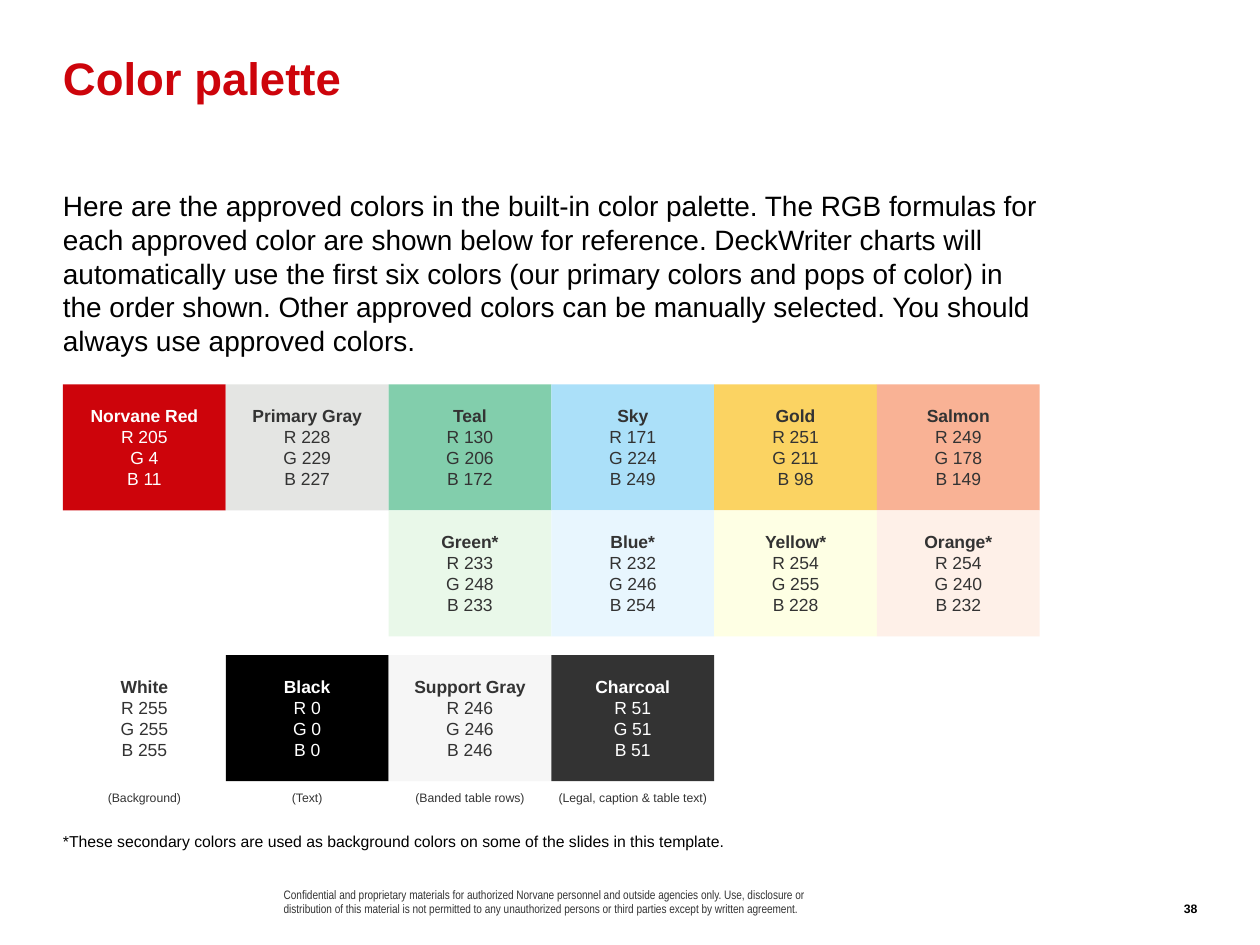
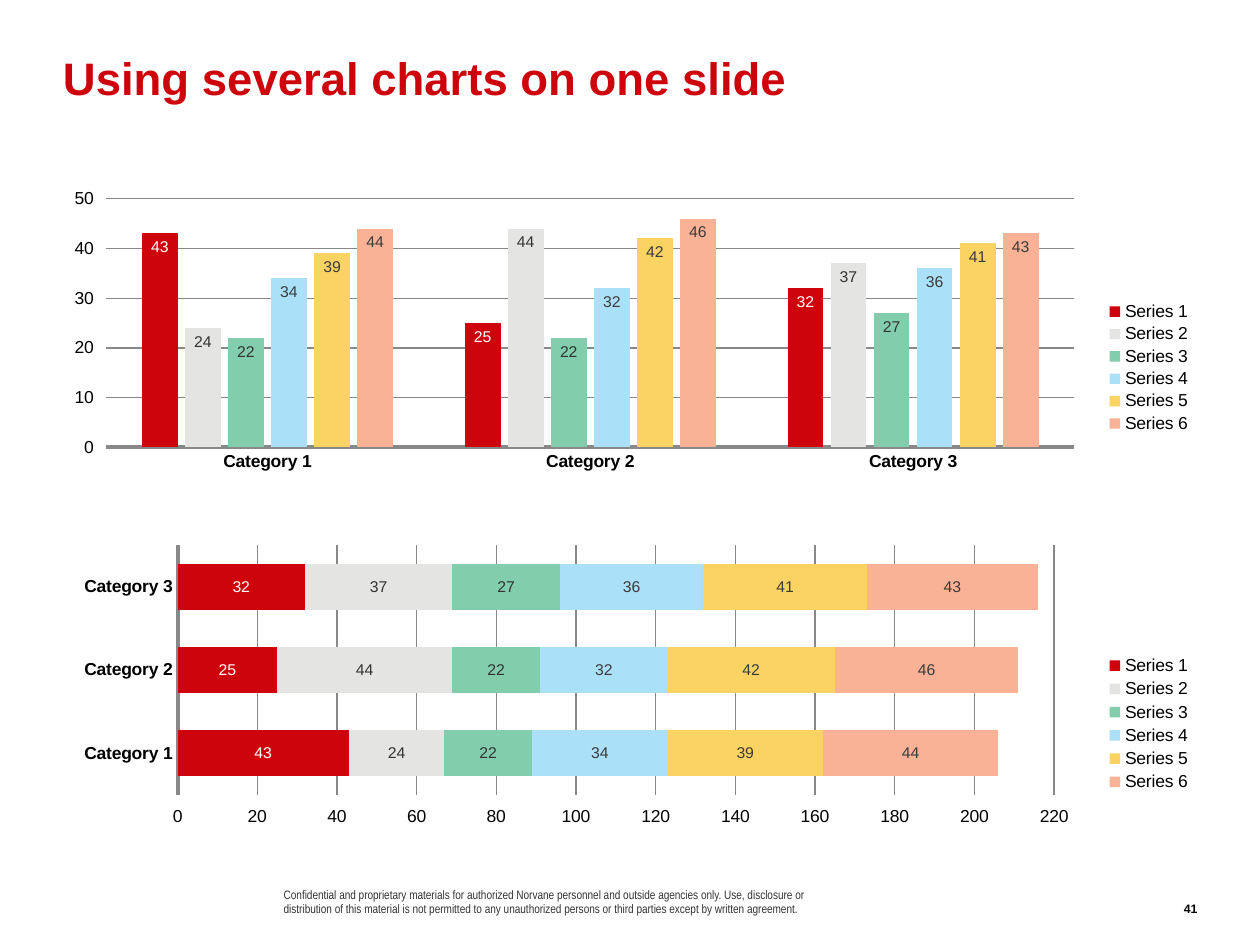
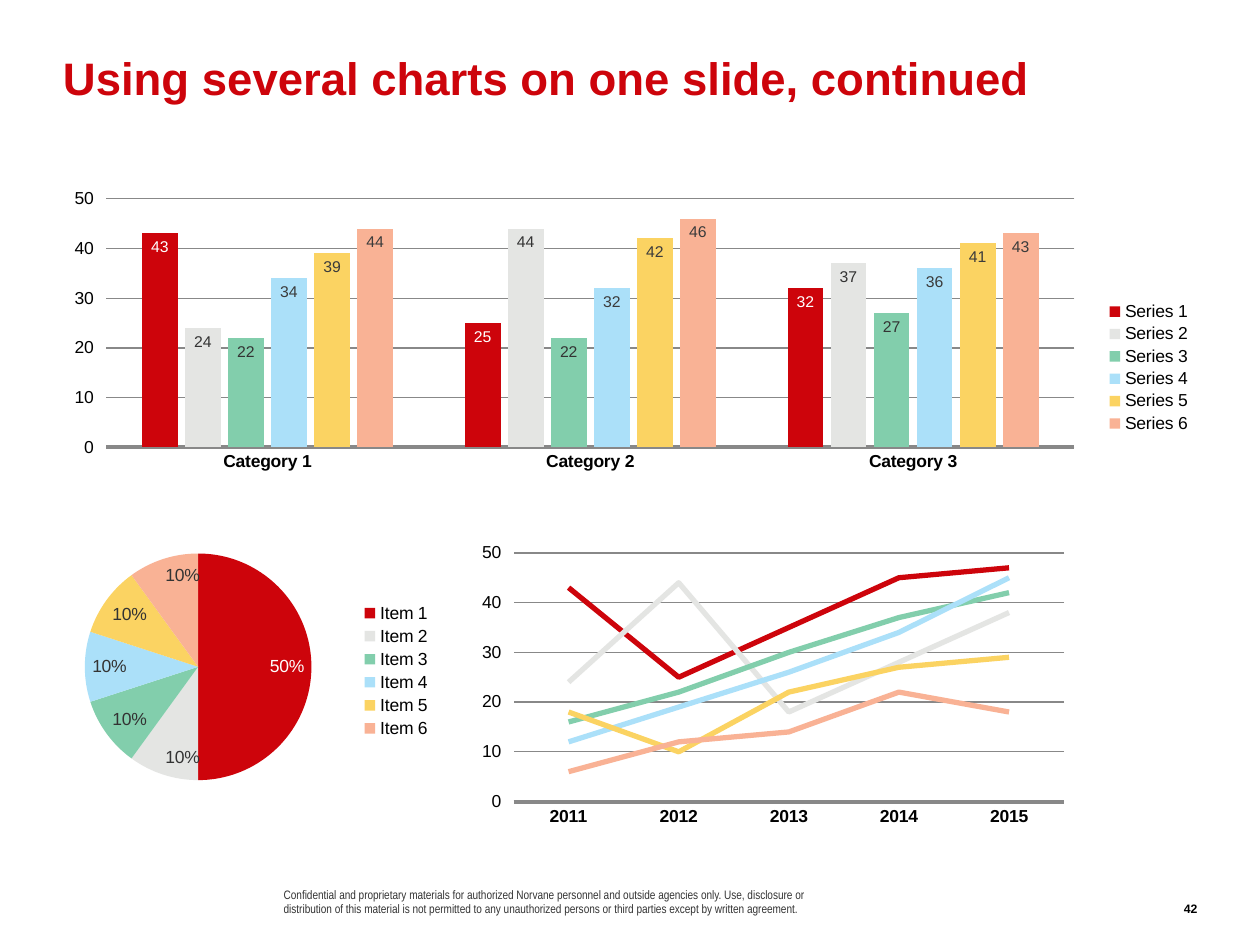
from lxml import etree
from pptx import Presentation
from pptx.chart.data import CategoryChartData
from pptx.dml.color import RGBColor
from pptx.enum.chart import XL_CHART_TYPE, XL_LABEL_POSITION, XL_LEGEND_POSITION, XL_TICK_MARK
from pptx.enum.shapes import MSO_SHAPE
from pptx.enum.text import MSO_ANCHOR, PP_ALIGN
from pptx.oxml.ns import qn
from pptx.util import Cm, Pt

COLUMNS, STACKED_BARS = XL_CHART_TYPE.COLUMN_CLUSTERED, XL_CHART_TYPE.BAR_STACKED
LINES, PIE = XL_CHART_TYPE.LINE, XL_CHART_TYPE.PIE
INSIDE_END, CENTERED = XL_LABEL_POSITION.INSIDE_END, XL_LABEL_POSITION.CENTER
LEGEND_RIGHT = XL_LEGEND_POSITION.RIGHT
NO_TICK, TICK_OUT = XL_TICK_MARK.NONE, XL_TICK_MARK.OUTSIDE
RECT = MSO_SHAPE.RECTANGLE
TOP, MIDDLE, BOTTOM = MSO_ANCHOR.TOP, MSO_ANCHOR.MIDDLE, MSO_ANCHOR.BOTTOM
LEFT, CENTER, RIGHT = PP_ALIGN.LEFT, PP_ALIGN.CENTER, PP_ALIGN.RIGHT

# Shared look
FONT, NARROW_FONT = "Arial", "Arial Narrow"
RED, BLACK, WHITE, CHARCOAL, AXIS_GRAY = "CD040B", "000000", "FFFFFF", "333333", "888888"
CHART_COLORS = [RED, "E4E5E3", "82CEAC", "ABE0F9", "FBD362", "F9B295"]
LABEL_COLORS = [WHITE, CHARCOAL, CHARCOAL, "3B3B3B", "3B3B3B", "3B3B3B"]
MARGIN, CONTENT_TOP, TEXT_W = 1.27, 3.81, 19.69
UPPER_BOX = (MARGIN, CONTENT_TOP, 22.86, 5.72)
LOWER_TOP = 10.95
CONFIDENTIAL = ("Confidential and proprietary materials for authorized Norvane personnel and outside "
                "agencies only. Use, disclosure or distribution of this material is not permitted to "
                "any unauthorized persons or third parties except by written agreement.")

# Palette rows: (name, colour) from the given first column
SWATCH_W, SWATCH_H = TEXT_W / 6, 2.54
PRIMARY = list(zip(["Norvane Red", "Primary Gray", "Teal", "Sky", "Gold", "Salmon"], CHART_COLORS))
SECONDARY = [("Green*", "E9F8E9"), ("Blue*", "E8F6FE"), ("Yellow*", "FEFFE4"), ("Orange*", "FEF0E8")]
NEUTRAL = [("White", WHITE), ("Black", BLACK), ("Support Gray", "F6F6F6"), ("Charcoal", CHARCOAL)]
USES = ["(Background)", "(Text)", "(Banded table rows)", "(Legal, caption & table text)"]

CATEGORIES = ["Category 1", "Category 2", "Category 3"]
CATEGORY_SERIES = [(43, 25, 32), (24, 44, 37), (22, 22, 27), (34, 32, 36), (39, 42, 41), (44, 46, 43)]
YEARS = ["2011", "2012", "2013", "2014", "2015"]
YEAR_SERIES = [(43, 25, 35, 45, 47), (24, 44, 18, 28, 38), (16, 22, 30, 37, 42),
               (12, 19, 26, 34, 45), (18, 10, 22, 27, 29), (6, 12, 14, 22, 18)]
ITEMS = [f"Item {n}" for n in range(1, 7)]
SHARES = (0.5, 0.1, 0.1, 0.1, 0.1, 0.1)


def rgb(color):
    return RGBColor.from_string(color)


def cm_box(box):
    return [Cm(length) for length in box]


def style_font(font, size, color=BLACK, bold=False, name=FONT):
    font.size, font.bold, font.name = Pt(size), bold, name
    font.color.rgb = rgb(color)


def write(shape, *lines, size, color=BLACK, bold=False, bold_first=False, font=FONT,
          align=LEFT, anchor=TOP, right_inset=0, spacing=None):
    frame = shape.text_frame
    frame.word_wrap, frame.vertical_anchor = True, anchor
    frame.margin_left = frame.margin_top = frame.margin_bottom = 0
    frame.margin_right = Cm(right_inset)
    for i, line in enumerate(lines):
        paragraph = frame.paragraphs[0] if i == 0 else frame.add_paragraph()
        paragraph.alignment, paragraph.line_spacing = align, spacing
        run = paragraph.add_run()
        run.text = line
        style_font(run.font, size, color, bold or (bold_first and i == 0), font)


def add_text(slide, box, *lines, **look):
    write(slide.shapes.add_textbox(*cm_box(box)), *lines, **look)


def new_slide(prs, title, number):
    """Blank slide with title, legal notice and page number."""
    slide = prs.slides.add_slide(prs.slide_layouts[6])
    add_text(slide, (5.72, 17.83, 11.23, 0.64), CONFIDENTIAL, size=7, color=CHARCOAL,
             font=NARROW_FONT, anchor=BOTTOM, right_inset=0.51)
    add_text(slide, (MARGIN, 1.14, TEXT_W, 1.27), title, size=26, color=RED, bold=True, spacing=0.9)
    add_text(slide, (23.5, 17.83, 0.64, 0.64), str(number), size=7, bold=True,
             align=RIGHT, anchor=BOTTOM)
    return slide


def add_swatch_row(slide, left, top, swatches):
    for column, (name, color) in enumerate(swatches):
        box = (left + column * SWATCH_W, top, SWATCH_W, SWATCH_H)
        swatch = slide.shapes.add_shape(RECT, *cm_box(box))
        swatch.shadow.inherit = False
        swatch.fill.solid()
        swatch.fill.fore_color.rgb = rgb(color)
        swatch.line.fill.background()
        formula = [f"{channel} {value}" for channel, value in zip("RGB", rgb(color))]
        write(swatch, name, *formula, size=10, bold_first=True, align=CENTER, anchor=MIDDLE,
              color=WHITE if color in (RED, BLACK, CHARCOAL) else CHARCOAL)


def add_palette(slide, left, top):
    add_swatch_row(slide, left, top, PRIMARY)
    add_swatch_row(slide, left + 2 * SWATCH_W, top + SWATCH_H, SECONDARY)
    neutral_top = top + 2 * SWATCH_H + 0.38
    add_swatch_row(slide, left, neutral_top, NEUTRAL)
    for column, use in enumerate(USES):
        add_text(slide, (left + column * SWATCH_W, neutral_top + SWATCH_H, SWATCH_W, 0.64), use,
                 size=7, color=CHARCOAL, align=CENTER, anchor=MIDDLE)


def set_layout(parent, index, area, inner=False):
    """Fix a chart part at (x, y, w, h), as fractions of the chart."""
    for old in parent.findall(qn("c:layout")):
        parent.remove(old)
    layout = etree.Element(qn("c:layout"))
    manual = etree.SubElement(layout, qn("c:manualLayout"))
    settings = [("layoutTarget", "inner")] if inner else []
    settings += [("xMode", "edge"), ("yMode", "edge")]
    settings += list(zip("xywh", area))
    for tag, value in settings:
        etree.SubElement(manual, qn(f"c:{tag}")).set("val", str(value))
    parent.insert(index, layout)


def add_chart(slide, box, kind, categories, series, plot_area, legend_area=None, fmt="General"):
    data = CategoryChartData(number_format=fmt)
    data.categories = categories
    for n, values in enumerate(series, 1):
        data.add_series(f"Series {n}", values)
    chart = slide.shapes.add_chart(kind, *cm_box(box), data).chart
    style_font(chart.font, 10)
    chart.has_title = False
    chart.has_legend = legend_area is not None
    set_layout(chart.element.xpath("c:chart/c:plotArea")[0], 0, plot_area, inner=True)
    if legend_area:
        chart.legend.position = LEGEND_RIGHT
        chart.legend.include_in_layout = False
        style_font(chart.legend.font, 10)
        set_layout(chart.element.xpath("c:chart/c:legend")[0], 1, legend_area)
    return chart


def style_axes(chart, maximum, step):
    names, values = chart.category_axis, chart.value_axis
    names.major_tick_mark = NO_TICK
    names.format.line.color.rgb = rgb(AXIS_GRAY)
    names.format.line.width = Pt(2.25)
    style_font(names.tick_labels.font, 10, bold=True)
    values.minimum_scale, values.maximum_scale, values.major_unit = 0, maximum, step
    values.major_tick_mark = TICK_OUT
    values.format.line.fill.background()
    style_font(values.tick_labels.font, 10)
    values.has_major_gridlines = True
    values.major_gridlines.format.line.color.rgb = rgb(AXIS_GRAY)
    values.major_gridlines.format.line.width = Pt(0.75)


def style_bars(chart, gap, overlap, label_position):
    plot = chart.plots[0]
    plot.gap_width, plot.overlap, plot.vary_by_categories = gap, overlap, False
    for bars, color, label_color in zip(plot.series, CHART_COLORS, LABEL_COLORS):
        bars.format.fill.solid()
        bars.format.fill.fore_color.rgb = rgb(color)
        labels = bars.data_labels
        labels.show_value, labels.position = True, label_position
        style_font(labels.font, 9, label_color)


def add_column_chart(slide, box):
    chart = add_chart(slide, box, COLUMNS, CATEGORIES, CATEGORY_SERIES,
                      (0.038, 0.022, 0.854, 0.888), (0.915, 0.38, 0.085, 0.49))
    style_axes(chart, 50, 10)
    style_bars(chart, 200, -20, INSIDE_END)


def add_stacked_chart(slide, box):
    chart = add_chart(slide, box, STACKED_BARS, CATEGORIES, CATEGORY_SERIES,
                      (0.101, 0, 0.773, 0.888), (0.915, 0.38, 0.085, 0.51))
    style_axes(chart, 220, 20)
    style_bars(chart, 80, 100, CENTERED)


def add_line_chart(slide, box):
    chart = add_chart(slide, box, LINES, YEARS, YEAR_SERIES, (0.06, 0.022, 0.922, 0.888))
    style_axes(chart, 50, 10)
    chart.plots[0].vary_by_categories = False
    for trend, color in zip(chart.plots[0].series, CHART_COLORS):
        trend.smooth = False
        trend.format.line.color.rgb = rgb(color)
        trend.format.line.width = Pt(3)


def add_pie_chart(slide, box):
    chart = add_chart(slide, box, PIE, ITEMS, [SHARES], (0.058, 0.036, 0.602, 0.8),
                      (0.77, 0.2, 0.23, 0.5), fmt="0%")
    shares = chart.plots[0].series[0]
    for n, color in enumerate(CHART_COLORS):
        slice_fill = shares.points[n].format.fill
        slice_fill.solid()
        slice_fill.fore_color.rgb = rgb(color)
    labels = shares.data_labels
    labels.show_value, labels.show_percentage, labels.position = True, False, INSIDE_END
    labels.number_format, labels.number_format_is_linked = "0%", False
    style_font(labels.font, 10, CHARCOAL)
    half_label = shares.points[0].data_label
    style_font(half_label.font, 10, WHITE)
    half_label.position = INSIDE_END


def palette_slide(prs):
    slide = new_slide(prs, "Color palette", 38)
    add_text(slide, (MARGIN, CONTENT_TOP, TEXT_W, 13.34),
             "Here are the approved colors in the built-in color palette. The RGB formulas for each "
             "approved color are shown below for reference. DeckWriter charts will automatically use "
             "the first six colors (our primary colors and pops of color) in the order shown. Other "
             "approved colors can be manually selected. You should always use approved colors.",
             size=16)
    add_text(slide, (MARGIN, 16.15, TEXT_W, 1),
             "*These secondary colors are used as background colors on some of the slides in this "
             "template.", size=9, anchor=BOTTOM)
    add_palette(slide, MARGIN, 7.75)


def two_charts_slide(prs):
    slide = new_slide(prs, "Using several charts on one slide", 41)
    add_stacked_chart(slide, (MARGIN, LOWER_TOP, 22.86, 5.72))
    add_column_chart(slide, UPPER_BOX)


def three_charts_slide(prs):
    slide = new_slide(prs, "Using several charts on one slide, continued", 42)
    add_column_chart(slide, UPPER_BOX)
    add_line_chart(slide, (9.63, LOWER_TOP, 12.04, 5.72))
    add_pie_chart(slide, (MARGIN, LOWER_TOP, 7.59, 5.72))


def main():
    prs = Presentation()
    prs.slide_width, prs.slide_height = Cm(25.4), Cm(19.05)
    palette_slide(prs)
    two_charts_slide(prs)
    three_charts_slide(prs)
    prs.save("out.pptx")


if __name__ == "__main__":
    main()
